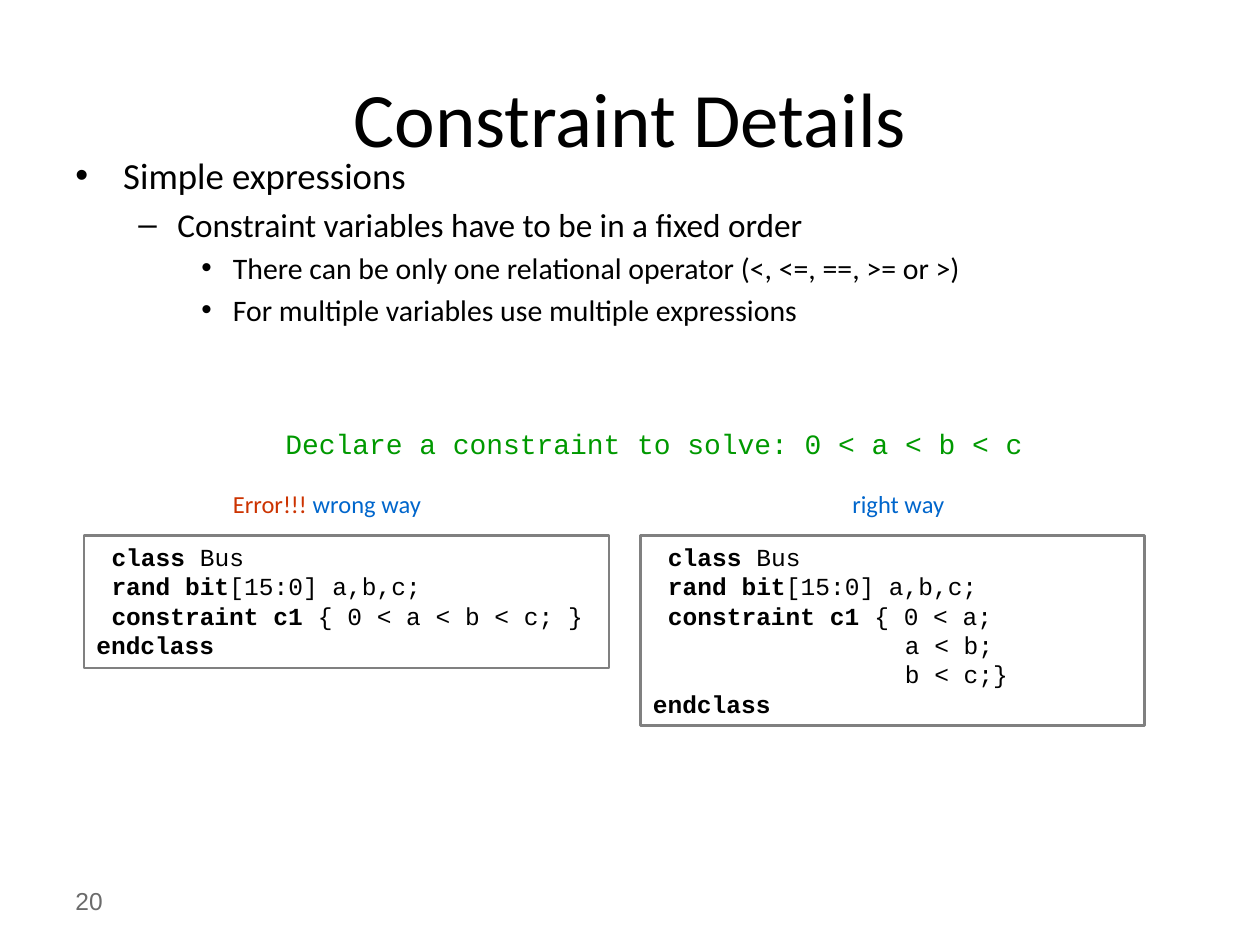
from dataclasses import dataclass

from lxml.etree import SubElement
from pptx import Presentation
from pptx.dml.color import RGBColor
from pptx.enum.shapes import MSO_SHAPE as Shape
from pptx.enum.text import MSO_ANCHOR as Anchor, PP_ALIGN as Align
from pptx.oxml.ns import qn
from pptx.util import Inches, Pt

COLUMNS, ROWS = 120, 90


@dataclass(frozen=True)
class Theme:
    """Colours, fonts and type sizes of the slide."""
    ink: str = "000000"
    muted: str = "6B6B6B"
    border: str = "808080"
    goal: str = "009900"
    error: str = "CC3300"
    note: str = "0066CC"
    sans: str = "Calibri"
    mono: str = "Courier New"
    plain: str = "Arial"
    title: int = 44
    levels: tuple = (21, 19, 17)
    goal_size: int = 16
    small: int = 14


THEME = Theme()
LEVELS = ((0.38, 0.38, "•"), (0.81, 0.31, "–"), (1.25, 0.25, "•"))
CODE_INDENT = 0.12
CONTINUATION = 2

OUTLINE = (
    (0, "Simple expressions"),
    (1, "Constraint variables have to be in a fixed order"),
    (2, "There can be only one relational operator (<, <=, ==, >= or >)"),
    (2, "For multiple variables use multiple expressions"),
)
DECLARATION = (
    (CODE_INDENT, "class", " Bus"),
    (CODE_INDENT, "rand bit", "[15:0] a,b,c;"),
)
END = ((0, "endclass", ""),)
WRONG_CODE = DECLARATION + (
    (CODE_INDENT, "constraint c1", " { 0 < a < b < c; }"),
) + END
RIGHT_CODE = DECLARATION + (
    (CODE_INDENT, "constraint c1", " { 0 < a;"),
    (CONTINUATION, "", "a < b;"),
    (CONTINUATION, "", "b < c;}"),
) + END


def grid_box(presentation, left, top, width, height):
    """Turn grid columns and rows into slide lengths."""
    column = presentation.slide_width / COLUMNS
    row = presentation.slide_height / ROWS
    return [round(n * unit) for n, unit in
            zip((left, top, width, height), (column, row, column, row))]


def add_run(paragraph, text, *, size=THEME.small, font=THEME.sans,
            color=THEME.ink, bold=False):
    """Append formatted text to a paragraph."""
    run = paragraph.add_run()
    run.text = text
    run.font.size = Pt(size)
    run.font.name = font
    run.font.bold = bold
    run.font.color.rgb = RGBColor.from_string(color)


def indent(paragraph, margin, hanging=0):
    """Set the left margin and hanging indent in inches."""
    properties = paragraph._p.get_or_add_pPr()
    properties.set("marL", str(Inches(margin)))
    properties.set("indent", str(-Inches(hanging)))
    return properties


def add_paragraphs(frame, count):
    """Return the given number of paragraphs of an empty text frame."""
    return [frame.paragraphs[0]] + [frame.add_paragraph() for _ in range(count - 1)]


def add_label(slide, box, *parts, align=Align.LEFT, anchor=Anchor.TOP,
              wrap=True, **style):
    """Add a one-line text box made of (text, colour) parts."""
    frame = slide.shapes.add_textbox(*box).text_frame
    frame.word_wrap = wrap
    frame.vertical_anchor = anchor
    paragraph = frame.paragraphs[0]
    paragraph.alignment = align
    for text, color in parts:
        add_run(paragraph, text, color=color, **style)


def add_outline(slide, box, items):
    """Add a bulleted list of (level, text) items."""
    frame = slide.shapes.add_textbox(*box).text_frame
    frame.word_wrap = True
    for paragraph, (level, text) in zip(add_paragraphs(frame, len(items)), items):
        margin, hanging, bullet = LEVELS[level]
        size = THEME.levels[level]
        paragraph.level = level
        paragraph.space_before = Pt(size * 0.2)
        properties = indent(paragraph, margin, hanging)
        SubElement(properties, qn("a:buFont"), typeface=THEME.plain)
        SubElement(properties, qn("a:buChar"), char=bullet)
        add_run(paragraph, text, size=size)


def add_code(slide, box, lines):
    """Add a bordered listing of (indent, keyword, rest) lines."""
    panel = slide.shapes.add_shape(Shape.RECTANGLE, *box)
    panel.shadow.inherit = False
    panel.fill.background()
    panel.line.color.rgb = RGBColor.from_string(THEME.border)
    panel.line.width = Pt(1.25)
    frame = panel.text_frame
    frame.word_wrap = True
    frame.vertical_anchor = Anchor.TOP
    for paragraph, (margin, keyword, rest) in zip(
            add_paragraphs(frame, len(lines)), lines):
        paragraph.alignment = Align.LEFT
        indent(paragraph, margin)
        for text, bold in ((keyword, True), (rest, False)):
            if text:
                add_run(paragraph, text, font=THEME.mono, bold=bold)


def main():
    """Build the slide and save it."""
    presentation = Presentation()
    presentation.slide_width = Inches(10)
    presentation.slide_height = Inches(7.5)
    slide = presentation.slides.add_slide(presentation.slide_layouts[6])

    def box(*cells):
        """Place cells on this presentation's grid."""
        return grid_box(presentation, *cells)

    add_label(slide, box(6, 83.4, 28, 4.8), ("20", THEME.muted),
              anchor=Anchor.MIDDLE, font=THEME.plain)
    add_label(slide, box(6, 3.6, 108, 15), ("Constraint Details", THEME.ink),
              align=Align.CENTER, anchor=Anchor.MIDDLE, size=THEME.title)
    add_outline(slide, box(6, 14, 108, 59.4), OUTLINE)
    add_label(slide, box(26, 40, 73, 4.4),
              ("Declare a constraint to solve: 0 < a < b < c", THEME.goal),
              font=THEME.mono, size=THEME.goal_size)
    add_label(slide, box(21, 46, 25, 4), ("Error!!! ", THEME.error),
              ("wrong way", THEME.note))
    add_label(slide, box(80, 46, 11.8, 4), ("right way", THEME.note), wrap=False)
    add_code(slide, box(8, 51, 50, 12.6), WRONG_CODE)
    add_code(slide, box(61, 51, 48, 18.1), RIGHT_CODE)
    presentation.save("out.pptx")


if __name__ == "__main__":
    main()
